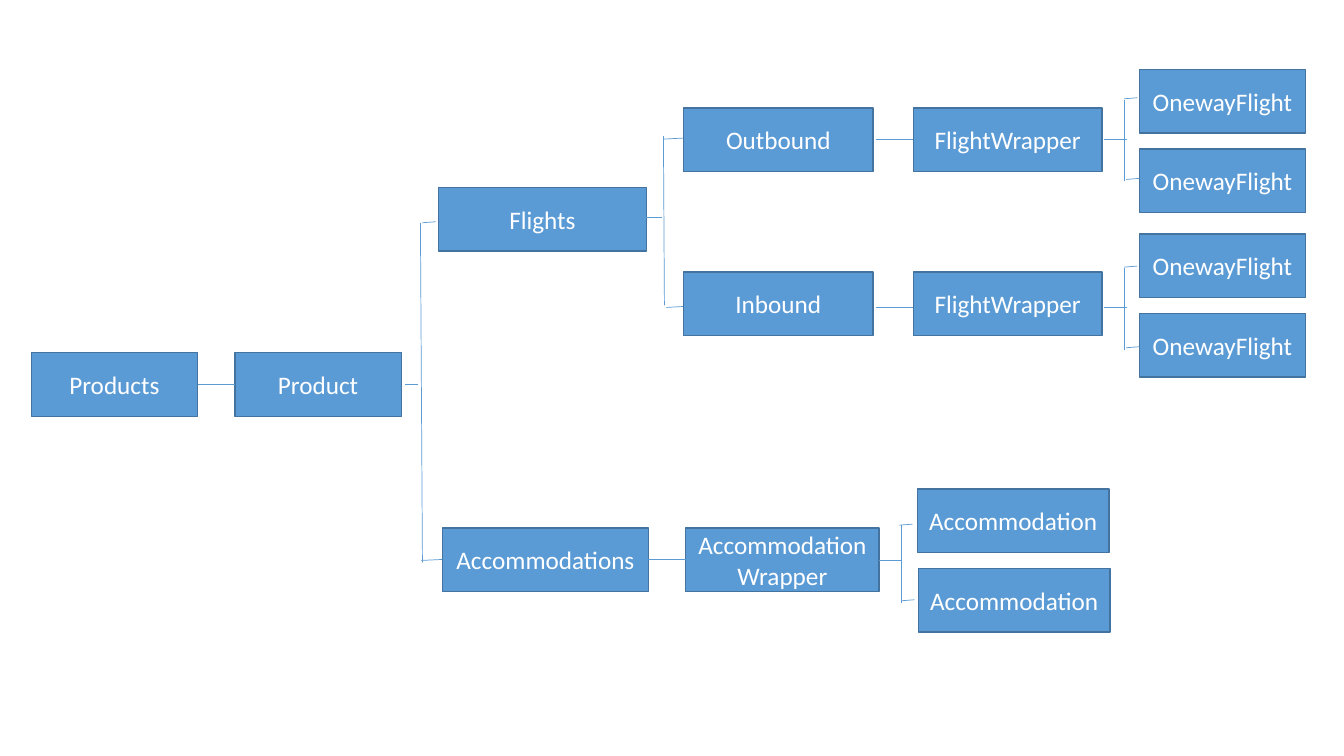
from collections import namedtuple

from lxml import etree
from pptx import Presentation
from pptx import util as u
from pptx.dml.color import RGBColor
from pptx.enum import shapes, text
from pptx.oxml import ns

BLUE = RGBColor(0x5B, 0x9B, 0xD5)
EDGE = RGBColor(0x43, 0x73, 0x9E)
WHITE = RGBColor(0xFF, 0xFF, 0xFF)
COLUMNS, ROWS = 13.33, 7.5
CELL = u.Inches(1)
NODE_HEIGHT = 0.63
STACK_STEP = 0.79
SLANT = 0.01

Area = namedtuple("Area", "left top")


def grid(*cells):
    return [round(cell * CELL) for cell in cells]


def write(shape, content, *, size=18, font="Calibri", color=WHITE):
    frame = shape.text_frame
    frame.word_wrap = True
    frame.vertical_anchor = text.MSO_ANCHOR.MIDDLE
    para = frame.paragraphs[0]
    para.alignment = text.PP_ALIGN.CENTER
    span = para.add_run()
    span.text = content
    span.font.size = u.Pt(size)
    span.font.name = font
    span.font.color.rgb = color


def node(page, area, label, left, top, width):
    place = grid(area.left + left, area.top + top, width, NODE_HEIGHT)
    shape = page.shapes.add_shape(shapes.MSO_SHAPE.RECTANGLE, *place)
    shape.shadow.inherit = False
    shape.fill.solid()
    shape.fill.fore_color.rgb = BLUE
    shape.line.color.rgb = EDGE
    shape.line.width = u.Pt(1)
    write(shape, label)


def link(page, area, x1, y1, x2, y2):
    ends = grid(area.left + x1, area.top + y1, area.left + x2, area.top + y2)
    line = page.shapes.add_connector(shapes.MSO_CONNECTOR.STRAIGHT, *ends)
    line.line.color.rgb = BLUE
    line.line.width = u.Pt(0.5)
    etree.SubElement(line._element.spPr, ns.qn("a:effectLst"))


def fork(page, area, stem, spine, upper, lower):
    start, end, middle = stem
    link(page, area, start, middle, end, middle)
    link(page, area, *spine)
    for start, end, height in (upper, lower):
        link(page, area, start, height, end, height - SLANT)


def trunk(page, area):
    node(page, area, "Products", 0, 0, 1.65)
    node(page, area, "Product", 2.02, 0, 1.65)
    link(page, area, 1.65, 0.31, 2.02, 0.31)
    fork(page, area, stem=(3.71, 3.84, 0.31), spine=(3.88, 2.08, 3.86, -1.29),
         upper=(3.88, 4.01, -1.29), lower=(3.87, 4.08, 2.06))


def flight_lane(page, area, direction, drop):
    node(page, area, direction, 0, 0.38, 1.88)
    node(page, area, "FlightWrapper", 2.28, 0.38, 1.87)
    for step in range(2):
        node(page, area, "OnewayFlight", 4.52, step * STACK_STEP, 1.65)
    link(page, area, 1.91, 0.69 + drop, 2.28, 0.69 + drop)
    fork(page, area, stem=(4.17, 4.4, 0.69 + drop),
         spine=(4.37, 1.11 + drop, 4.37, 0.3 + drop),
         upper=(4.37, 4.5, 0.29 + drop), lower=(4.39, 4.52, 1.09 + drop))


def flights(page, area):
    node(page, area, "Flights", 0, 1.17, 2.06)
    fork(page, area, stem=(2.06, 2.22, 1.47), spine=(2.24, 2.34, 2.23, 0.66),
         upper=(2.23, 2.43, 0.69), lower=(2.26, 2.44, 2.36))
    lanes = [("Outbound", 0, 0), ("Inbound", 1.63, 0.04)]
    for direction, top, drop in lanes:
        lane = Area(area.left + 2.43, area.top + top)
        flight_lane(page, lane, direction, drop)


def accommodations(page, area):
    node(page, area, "Accommodations", 0, 0.39, 2.04)
    node(page, area, "AccommodationWrapper", 2.41, 0.39, 1.92)
    for step in range(2):
        node(page, area, "Accommodation", 4.71 + step * SLANT, step * STACK_STEP, 1.9)
    link(page, area, 2.04, 0.7, 2.41, 0.7)
    fork(page, area, stem=(4.33, 4.55, 0.71), spine=(4.55, 1.13, 4.55, 0.36),
         upper=(4.53, 4.66, 0.36), lower=(4.55, 4.68, 1.11))


deck = Presentation()
deck.slide_width, deck.slide_height = grid(COLUMNS, ROWS)
page = deck.slides.add_slide(deck.slide_layouts[6])
trunk(page, Area(0.31, 3.5))
flights(page, Area(4.35, 0.69))
accommodations(page, Area(4.39, 4.85))
deck.save("out.pptx")
